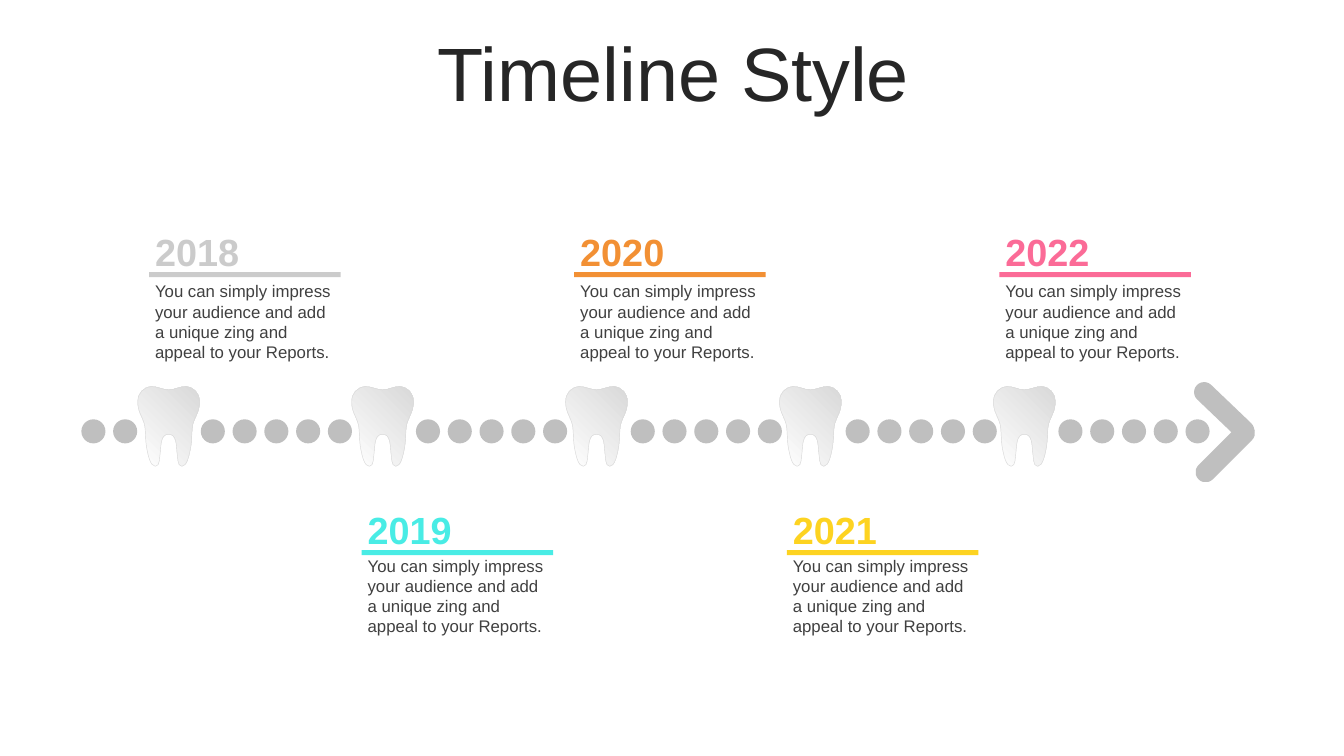
from pptx import Presentation
from pptx.dml.color import RGBColor
from pptx.enum import shapes, text
from pptx.oxml import ns
from pptx.util import Pt

COLORS = {
    "title": "262626",
    "body": "404040",
    "track": "BFBFBF",
    "tooth_light": "FFFFFF",
    "tooth_dark": "D9D9D9",
    "2018": "CBCBCB",
    "2019": "49ECE5",
    "2020": "F29034",
    "2021": "FDD321",
    "2022": "FB6B97",
}
FONT = "Arial"
YEARS = ["2018", "2019", "2020", "2021", "2022"]
MESSAGE = ("You can simply impress your audience and add "
           "a unique zing and appeal to your Reports.")

# Tops of year, rule and message, above and below the track
ABOVE = (159.8, 194.3, 197.3)
BELOW = (358.6, 392.9, 393.1)
MILESTONE_LEFT, MILESTONE_STEP = 103.7, 151.85

TOOTH_CENTER, TOOTH_TOP, TOOTH_STEP = 120.5, 276, 152.8
DOT_TOP, DOT_SIZE, DOT_STEP = 299.5, 17.2, 22.7
# Left end and number of dots of each run between teeth
DOT_RUNS = [(58.1, 2), (143.4, 5), (297.1, 5), (450.5, 5), (604, 5), (756, 5)]

# Left half of a tooth from crown to root fork: start, then Bezier triples
HALF_TOOTH = [
    (0, 2.5),
    (-4.5, 2.5), (-8, -0.1), (-12.5, 0.2),
    (-18, 0.6), (-22, 5), (-22, 10.5),
    (-22.4, 17.5), (-19, 21), (-17.3, 27),
    (-16.3, 31), (-16.8, 39), (-15.5, 45),
    (-14.5, 50), (-13, 57), (-9.4, 57.1),
    (-6, 57), (-6.6, 50), (-6, 47.2),
    (-5.4, 41), (-5.5, 34.2), (0, 34.2),
]


def rgb(name):
    return RGBColor.from_string(COLORS[name])


def format_text(paragraph, size, color, bold=False):
    font = paragraph.runs[0].font
    font.name = FONT
    font.size = Pt(size)
    font.bold = bold
    font.color.rgb = rgb(color)


def add_title(slide, words):
    title = slide.shapes.title
    title.left, title.top, title.width, title.height = Pt(25.2), Pt(26.6), Pt(911.5), Pt(56.9)
    frame = title.text_frame
    frame.text = words
    frame.auto_size = text.MSO_AUTO_SIZE.NONE
    frame.vertical_anchor = text.MSO_ANCHOR.MIDDLE
    heading = frame.paragraphs[0]
    heading.alignment = text.PP_ALIGN.CENTER
    heading.line_spacing = 0.9
    format_text(heading, 54, "title")


def add_label(slide, words, left, top, width, height, size, color, bold=False):
    label = slide.shapes.add_textbox(Pt(left), Pt(top), Pt(width), Pt(height))
    frame = label.text_frame
    frame.word_wrap = True
    frame.auto_size = text.MSO_AUTO_SIZE.SHAPE_TO_FIT_TEXT
    frame.text = words
    format_text(frame.paragraphs[0], size, color, bold)


def add_plain_shape(slide, preset, left, top, width, height, color):
    plain = slide.shapes.add_shape(preset, Pt(left), Pt(top), Pt(width), Pt(height))
    plain.shadow.inherit = False
    plain.fill.solid()
    plain.fill.fore_color.rgb = rgb(color)
    plain.line.fill.background()
    return plain


def add_milestone(slide, year, left, tops):
    year_top, rule_top, message_top = tops
    add_label(slide, year, left, year_top, 144, 40.3, 27, year, bold=True)
    add_label(slide, MESSAGE, left, message_top, 141.1, 65.5, 12, "body")
    add_plain_shape(slide, shapes.MSO_SHAPE.RECTANGLE, left + 2.8, rule_top, 136.8, 3.7, year)


def curve_outline(freeform):
    """Turn each three line segments into one Bezier curve."""
    outline = freeform._element.find(".//" + ns.qn("a:path"))
    lines = outline.findall(ns.qn("a:lnTo"))
    for i in range(0, len(lines), 3):
        curve = lines[i].makeelement(ns.qn("a:cubicBezTo"), {})
        lines[i].addprevious(curve)
        for line in lines[i:i + 3]:
            curve.append(line[0])
            outline.remove(line)


def add_tooth(slide, center):
    mirrored = [(-x, y) for x, y in reversed(HALF_TOOTH[:-1])]
    points = [(Pt(center + x), Pt(TOOTH_TOP + y)) for x, y in HALF_TOOTH + mirrored]
    builder = slide.shapes.build_freeform(*points[0])
    builder.add_line_segments(points[1:], close=True)
    tooth = builder.convert_to_shape()
    curve_outline(tooth)
    tooth.shadow.inherit = False
    tooth.fill.gradient()
    tooth.fill.gradient_angle = 45
    for stop, color in zip(tooth.fill.gradient_stops, ("tooth_light", "tooth_dark")):
        stop.color.rgb = rgb(color)
    tooth.line.color.rgb = rgb("tooth_dark")
    tooth.line.width = Pt(0.32)


def add_track(slide):
    for left, count in DOT_RUNS:
        for i in range(count):
            add_plain_shape(slide, shapes.MSO_SHAPE.OVAL, left + i * DOT_STEP, DOT_TOP,
                            DOT_SIZE, DOT_SIZE, "track")
    # Arrowhead at the end of the track
    for left, top, angle in ((847.4, 286.6, 43.7), (848.2, 316.1, 315)):
        bar = add_plain_shape(slide, shapes.MSO_SHAPE.ROUNDED_RECTANGLE, left, top,
                              54, 14.4, "track")
        bar.adjustments[0] = 0.5
        bar.rotation = angle


def main():
    prs = Presentation()
    prs.slide_width, prs.slide_height = Pt(960), Pt(540)
    slide = prs.slides.add_slide(prs.slide_layouts[5])
    add_title(slide, "Timeline Style")

    # Teeth and milestones, alternating above and below
    for i, year in enumerate(YEARS):
        add_tooth(slide, TOOTH_CENTER + i * TOOTH_STEP)
        add_milestone(slide, year, MILESTONE_LEFT + i * MILESTONE_STEP,
                      BELOW if i % 2 else ABOVE)
    add_track(slide)
    prs.save("out.pptx")


if __name__ == "__main__":
    main()
